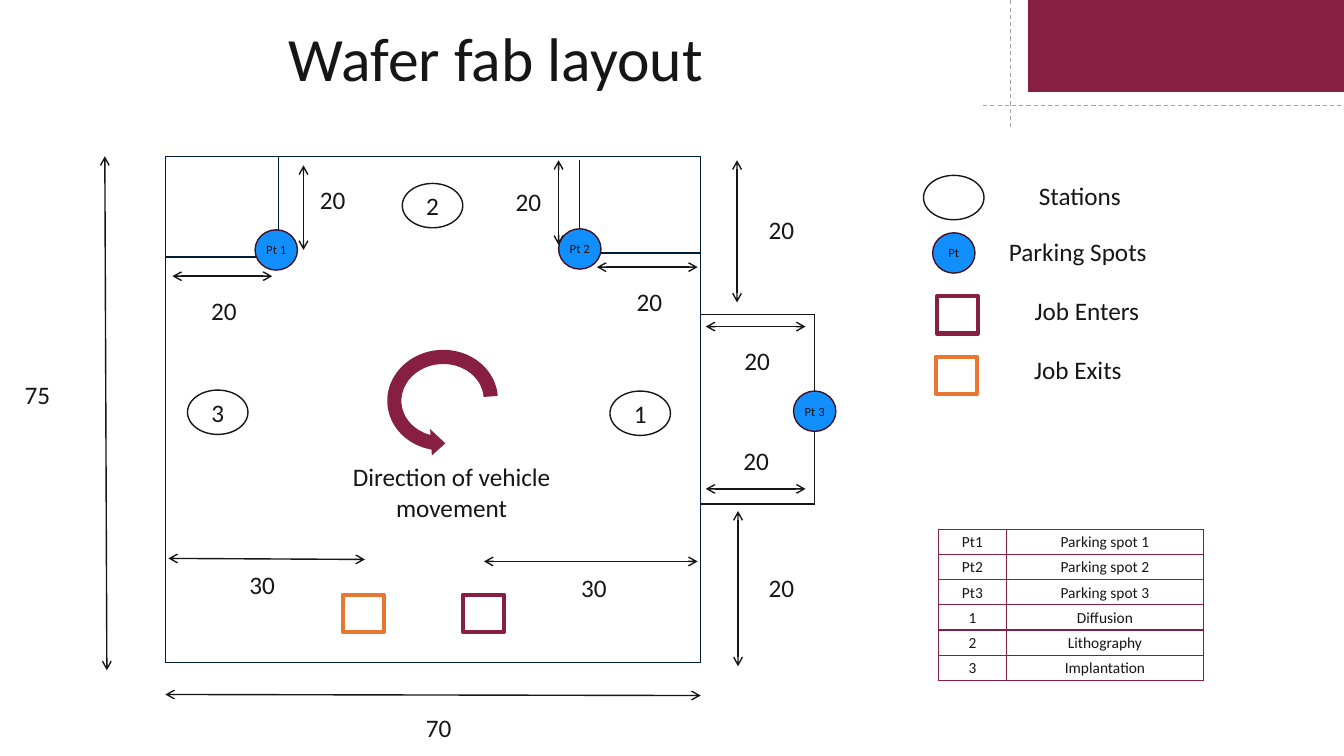
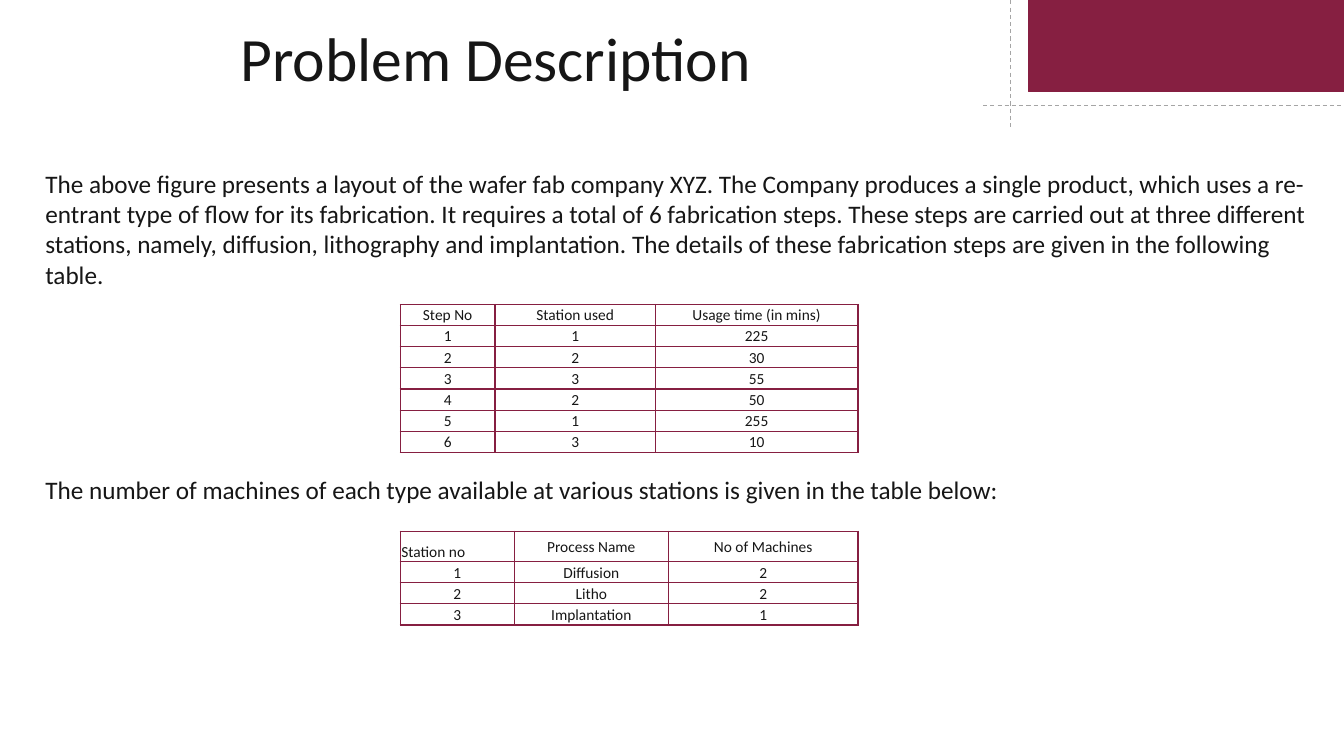
"""Builds two slides on a wafer fab: its floor layout and its process tables."""
from lxml.etree import SubElement
from pptx import Presentation
from pptx.dml.color import RGBColor
from pptx.enum.dml import MSO_LINE
from pptx.enum.shapes import MSO_CONNECTOR, MSO_SHAPE
from pptx.enum.text import MSO_ANCHOR, PP_ALIGN
from pptx.oxml.ns import qn
from pptx.util import Inches, Pt

HEX = {"wine": "861F41", "gray": "A5A5A5", "navy": "001E38", "ink": "161616",
       "blue": "118FFF", "plum": "431021", "orange": "E87731"}
RGB = {name: RGBColor.from_string(code) for name, code in HEX.items()}
FONT = "Calibri"


def fill_text(frame, text, size, align=PP_ALIGN.CENTER, inset=0.05):
    frame.word_wrap = True
    frame.margin_left = frame.margin_right = Inches(inset)
    frame.margin_top = frame.margin_bottom = Inches(inset)
    for i, part in enumerate(text.split("\n")):
        para = frame.paragraphs[0] if i == 0 else frame.add_paragraph()
        para.alignment = align
        run = para.add_run()
        run.text = part
        run.font.name = FONT
        run.font.size = Pt(size)
        run.font.color.rgb = RGB["ink"]


def add_line(slide, ends, color, width=1, dash=False, arrows=False):
    line = slide.shapes.add_connector(MSO_CONNECTOR.STRAIGHT, *map(Inches, ends))
    line.line.color.rgb = RGB[color]
    line.line.width = Pt(width)
    if dash:
        line.line.dash_style = MSO_LINE.DASH
    props = line.element.spPr
    if arrows:
        for tag in ("a:headEnd", "a:tailEnd"):
            SubElement(props.find(qn("a:ln")), qn(tag), type="arrow")
    SubElement(props, qn("a:effectLst"))


deck = Presentation()
deck.slide_width, deck.slide_height = Inches(13.33), Inches(7.5)
blank = deck.slide_layouts[6]
plan, brief = deck.slides.add_slide(blank), deck.slides.add_slide(blank)

for slide, title in ((plan, "Wafer fab layout"), (brief, "Problem Description")):
    band = slide.shapes.add_shape(MSO_SHAPE.RECTANGLE, Inches(10.2), Inches(-0.05),
                                  Inches(3.22), Inches(0.96))
    band.shadow.inherit = False
    band.fill.solid()
    band.fill.fore_color.rgb = band.line.color.rgb = RGB["wine"]
    band.line.width = Pt(1)
    for ends in ((10.02, -0.14, 10.02, 1.29), (9.75, 1.05, 13.86, 1.05)):
        add_line(slide, ends, "gray", 0.75, dash=True)
    box = slide.shapes.add_textbox(Inches(0.77), Inches(0.15), Inches(8.3), Inches(0.84))
    fill_text(box.text_frame, title, 44)

walls = [
    ("navy", [(1.64, 1.55), (6.95, 1.55), (6.95, 6.57), (1.64, 6.57), (1.64, 1.55)]),
    ("navy", [(2.76, 1.55), (2.76, 2.55), (1.64, 2.55)]),
    ("navy", [(5.75, 1.59), (5.75, 2.51), (6.95, 2.51)]),
    ("ink", [(6.95, 3.12), (8.08, 3.12), (8.08, 5), (6.95, 5)]),
]
for color, points in walls:
    for start, end in zip(points, points[1:]):
        add_line(plan, start + end, color)

kinds = {
    "station": (MSO_SHAPE.OVAL, 0.6, 0.44, None, "ink", 1, 18),
    "spot": (MSO_SHAPE.OVAL, 0.42, 0.4, "blue", "plum", 1, 9),
    "enter": (MSO_SHAPE.RECTANGLE, 0.41, 0.37, None, "wine", 3, 18),
    "exit": (MSO_SHAPE.RECTANGLE, 0.41, 0.37, None, "orange", 3, 18),
}
marks = [
    ("station", 6.05, 3.88, "1"), ("station", 3.99, 1.82, "2"),
    ("station", 1.86, 3.87, "3"), ("station", 9.16, 1.74, ""),
    ("spot", 2.53, 2.28, "Pt 1"), ("spot", 5.54, 2.27, "Pt 2"),
    ("spot", 7.87, 3.88, "Pt 3"), ("spot", 9.25, 2.31, "Pt"),
    ("enter", 4.59, 5.9, ""), ("enter", 9.29, 2.94, ""),
    ("exit", 3.4, 5.9, ""), ("exit", 9.28, 3.54, ""),
]
for kind, left, top, text in marks:
    form, wide, high, fill, edge, width, size = kinds[kind]
    mark = plan.shapes.add_shape(form, Inches(left), Inches(top), Inches(wide), Inches(high))
    mark.shadow.inherit = False
    if fill:
        mark.fill.solid()
        mark.fill.fore_color.rgb = RGB[fill]
    else:
        mark.fill.background()
    mark.line.color.rgb = RGB[edge]
    mark.line.width = Pt(width)
    if text:
        fill_text(mark.text_frame, text, size, inset=0)
        mark.text_frame.vertical_anchor = MSO_ANCHOR.MIDDLE

turn = plan.shapes.add_shape(MSO_SHAPE.CIRCULAR_ARROW, Inches(3.83), Inches(3.36),
                             Inches(1.12), Inches(1.22))
turn.shadow.inherit = False
turn.rotation = 266.3
turn.element.spPr.get_or_add_xfrm().set("flipH", "1")
for i, value in enumerate((0.125, 11.423, 204.577, 54.455, 0.117)):
    turn.adjustments[i] = value
turn.fill.solid()
turn.fill.fore_color.rgb = RGB["wine"]
turn.line.fill.background()

spans = [
    ((1.04, 1.55, 1.06, 6.65), "75", 0.03, 3.71),
    ((1.64, 6.89, 6.95, 6.9), "70", 4.01, 7.02),
    ((7.31, 1.59, 7.31, 3), "20", 7.41, 2.08),
    ((7.32, 5.07, 7.32, 6.61), "20", 7.41, 5.63),
    ((1.71, 2.74, 2.7, 2.74), "20", 1.88, 2.88),
    ((3.01, 1.64, 3.01, 2.48), "20", 2.96, 1.78),
    ((5.92, 2.65, 6.92, 2.65), "20", 6.1, 2.79),
    ((5.54, 1.59, 5.54, 2.43), "20", 4.9, 1.8),
    ((7, 3.24, 7.99, 3.24), "20", 7.17, 3.38),
    ((7, 4.85, 7.99, 4.85), "20", 7.16, 4.37),
    ((1.67, 5.54, 3.62, 5.55), "30", 2.26, 5.6),
    ((4.8, 5.57, 6.92, 5.57), "30", 5.55, 5.63),
]
labels = [
    ("Stations", 9.77, 1.74, 1.88, 0.4),
    ("Parking Spots", 9.75, 2.3, 1.88, 0.4),
    ("Job Enters", 9.84, 2.88, 1.88, 0.4),
    ("Job Exits", 9.75, 3.47, 1.88, 0.4),
    ("Direction of vehicle movement", 3.23, 4.53, 2.5, 0.71),
]
for ends, text, left, top in spans:
    add_line(plan, ends, "ink", arrows=True)
    labels.append((text, left, top, 0.68, 0.4))
for text, *place in labels:
    box = plan.shapes.add_textbox(*map(Inches, place))
    fill_text(box.text_frame, text, 18)

story = (
    "The above figure presents a layout of the wafer fab company XYZ. The Company "
    "produces a single product, which uses a re-entrant type of flow for its fabrication. "
    "It requires a total of 6 fabrication steps. These steps are carried out at three "
    "different stations, namely, diffusion, lithography and implantation. The details of "
    "these fabrication steps are given in the following table.\n"
    "The number of machines of each type available at various stations is given in the "
    "table below:"
)
box = brief.shapes.add_textbox(Inches(0.4), Inches(1.62), Inches(12.61), Inches(4.04))
fill_text(box.text_frame, story, 18, PP_ALIGN.LEFT)
box.text_frame.paragraphs[1].space_before = Pt(132)

spots = [("Pt1", "Parking spot 1"), ("Pt2", "Parking spot 2"), ("Pt3", "Parking spot 3"),
         ("1", "Diffusion"), ("2", "Lithography"), ("3", "Implantation")]
steps = [("Step No", "Station used", "Usage time (in mins)"),
         ("1", "1", "225"), ("2", "2", "30"), ("3", "3", "55"),
         ("4", "2", "50"), ("5", "1", "255"), ("6", "3", "10")]
stock = [("Station no", "Process Name", "No of Machines"),
         ("1", "Diffusion", "2"), ("2", "Litho", "2"), ("3", "Implantation", "1")]
tables = [
    (plan, spots, 9.31, 5.25, (0.67, 1.96), [0.25] * 6),
    (brief, steps, 3.97, 3.02, (0.94, 1.59, 2.01), [0.21] * 7),
    (brief, stock, 3.97, 5.27, (1.13, 1.53, 1.88), [0.3] + [0.21] * 3),
]
for slide, rows, left, top, cols, highs in tables:
    grid = slide.shapes.add_table(len(rows), len(cols), Inches(left), Inches(top),
                                  Inches(sum(cols)), Inches(sum(highs))).table
    grid.first_row = grid.horz_banding = False
    for col, wide in zip(grid.columns, cols):
        col.width = Inches(wide)
    for r, row in enumerate(rows):
        grid.rows[r].height = Inches(highs[r])
        for c, text in enumerate(row):
            cell = grid.cell(r, c)
            corner = rows is stock and r == c == 0
            low = corner or (rows is stock and r > 0)
            fill_text(cell.text_frame, text, 11,
                      PP_ALIGN.LEFT if corner else PP_ALIGN.CENTER)
            cell.margin_left = cell.margin_right = cell.margin_top = Inches(0.01)
            cell.margin_bottom = 0
            cell.vertical_anchor = MSO_ANCHOR.BOTTOM if low else MSO_ANCHOR.MIDDLE
            props = cell._tc.get_or_add_tcPr()
            for side in ("a:lnL", "a:lnR", "a:lnT", "a:lnB"):
                edge = SubElement(props, qn(side), w=str(Pt(1)))
                paint = SubElement(edge, qn("a:solidFill"))
                SubElement(paint, qn("a:srgbClr"), val=HEX["wine"])
            SubElement(props, qn("a:noFill"))

deck.save("out.pptx")
